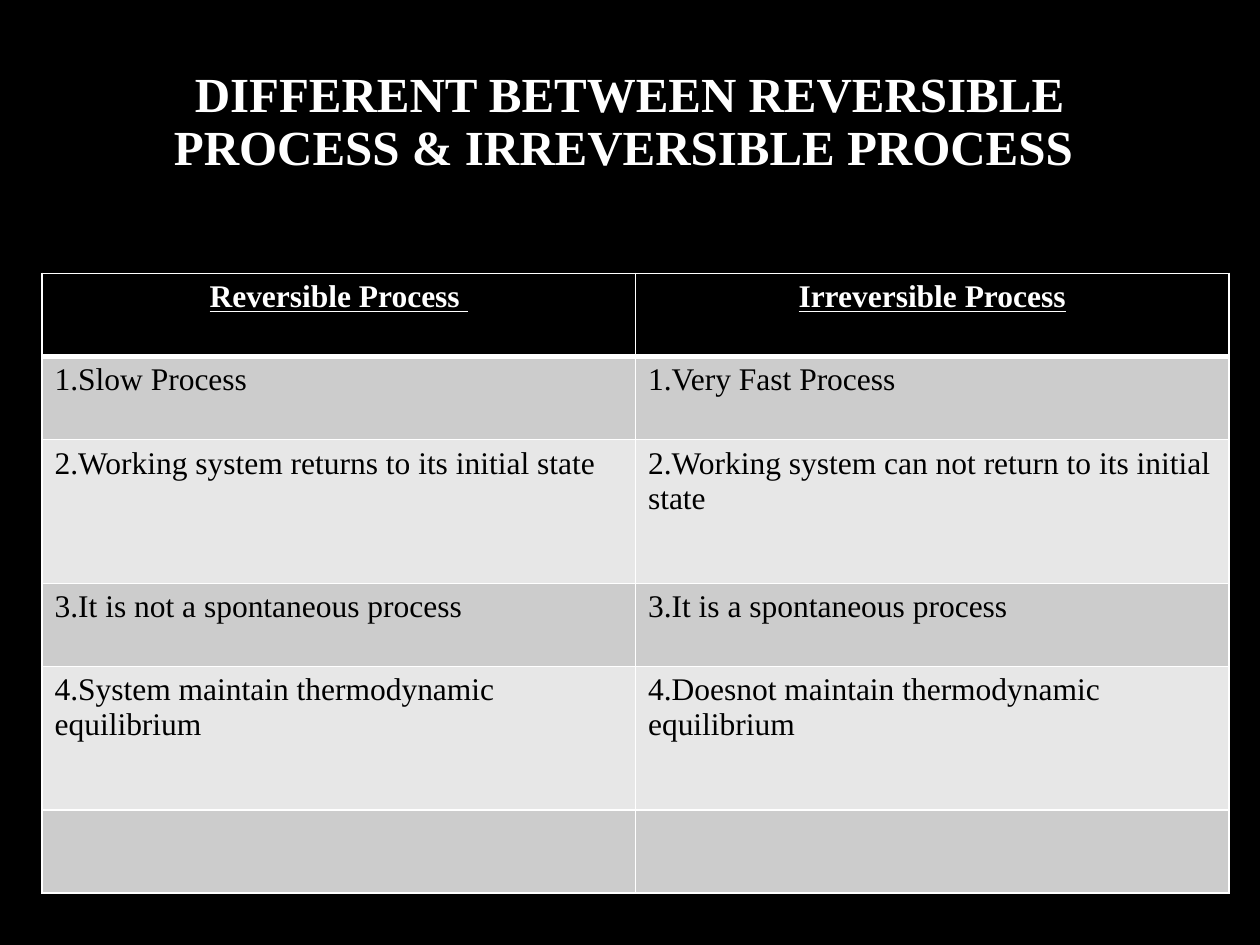
from dataclasses import dataclass

from lxml.etree import SubElement
from pptx import Presentation
from pptx.dml.color import RGBColor
from pptx.enum.text import MSO_ANCHOR as Anchor, PP_ALIGN as Align
from pptx.oxml.ns import qn
from pptx.util import Pt

FONT = "Times New Roman"
BLACK, WHITE = "000000", "FFFFFF"
DARK, LIGHT = "CCCCCC", "E7E7E7"
SHORT, TALL = 47.52, 82.08
LEFT, TOP, WIDE = 24, 156.24, 339.12


@dataclass
class Style:
    size: float
    ink: str
    bold: bool = False
    under: bool = False
    align: Align = Align.LEFT


@dataclass
class Row:
    texts: tuple
    high: float
    fill: str
    style: Style


HEAD = Style(28, WHITE, bold=True, align=Align.CENTER)
LABEL = Style(18, WHITE, bold=True, under=True, align=Align.CENTER)
BODY = Style(18, BLACK)

ROWS = [
    Row(("Reversible Process ", "Irreversible Process"), SHORT, BLACK, LABEL),
    Row(("1.Slow Process", "1.Very Fast Process"), SHORT, DARK, BODY),
    Row(("2.Working system returns to its initial state",
         "2.Working system can not return to its initial state"), TALL, LIGHT, BODY),
    Row(("3.It is not a spontaneous process",
         "3.It is a spontaneous process"), SHORT, DARK, BODY),
    Row(("4.System maintain thermodynamic equilibrium",
         "4.Doesnot maintain thermodynamic equilibrium"), TALL, LIGHT, BODY),
    Row(("", ""), SHORT, DARK, BODY),
]


def paint(color, value: str) -> None:
    color.rgb = RGBColor.from_string(value)


def write(para, text: str, style: Style) -> None:
    para.alignment = style.align
    if not text:
        para.font.size = Pt(style.size)
        return
    run = para.add_run()
    run.text = text
    font = run.font
    font.name, font.size = FONT, Pt(style.size)
    font.bold, font.underline = style.bold, style.under
    paint(font.color, style.ink)


def edge(cell, side: str, width: float) -> None:
    props = cell._tc.get_or_add_tcPr()
    line = SubElement(props, qn(f"a:ln{side}"), w=str(Pt(width)))
    fill = SubElement(line, qn("a:solidFill"))
    SubElement(fill, qn("a:srgbClr"), val=WHITE)


def draw_title(slide, text: str) -> None:
    box = slide.shapes.add_textbox(Pt(54), Pt(18), Pt(611.28), Pt(104.4))
    frame = box.text_frame
    frame.word_wrap = True
    frame.vertical_anchor = Anchor.MIDDLE
    para = frame.paragraphs[0]
    para.line_spacing = 0.9
    write(para, text, HEAD)


def draw_table(slide, rows: list[Row]) -> None:
    count = len(rows[0].texts)
    total = sum(row.high for row in rows)
    table = slide.shapes.add_table(
        len(rows), count, Pt(LEFT), Pt(TOP), Pt(WIDE * count), Pt(total)).table
    for col in table.columns:
        col.width = Pt(WIDE)
    for i, row in enumerate(rows):
        table.rows[i].height = Pt(row.high)
        for j, text in enumerate(row.texts):
            cell = table.cell(i, j)
            for side in "LRTB":
                thick = (i, side) in ((0, "B"), (1, "T"))
                edge(cell, side, 3 if thick else 1)
            cell.fill.solid()
            paint(cell.fill.fore_color, row.fill)
            write(cell.text_frame.paragraphs[0], text, row.style)


def main() -> None:
    deck = Presentation()
    deck.slide_width, deck.slide_height = Pt(720), Pt(540)
    slide = deck.slides.add_slide(deck.slide_layouts[6])
    back = slide.background.fill
    back.solid()
    paint(back.fore_color, BLACK)
    draw_title(slide, "DIFFERENT BETWEEN REVERSIBLE PROCESS & IRREVERSIBLE PROCESS ")
    draw_table(slide, ROWS)
    deck.save("out.pptx")


if __name__ == "__main__":
    main()
